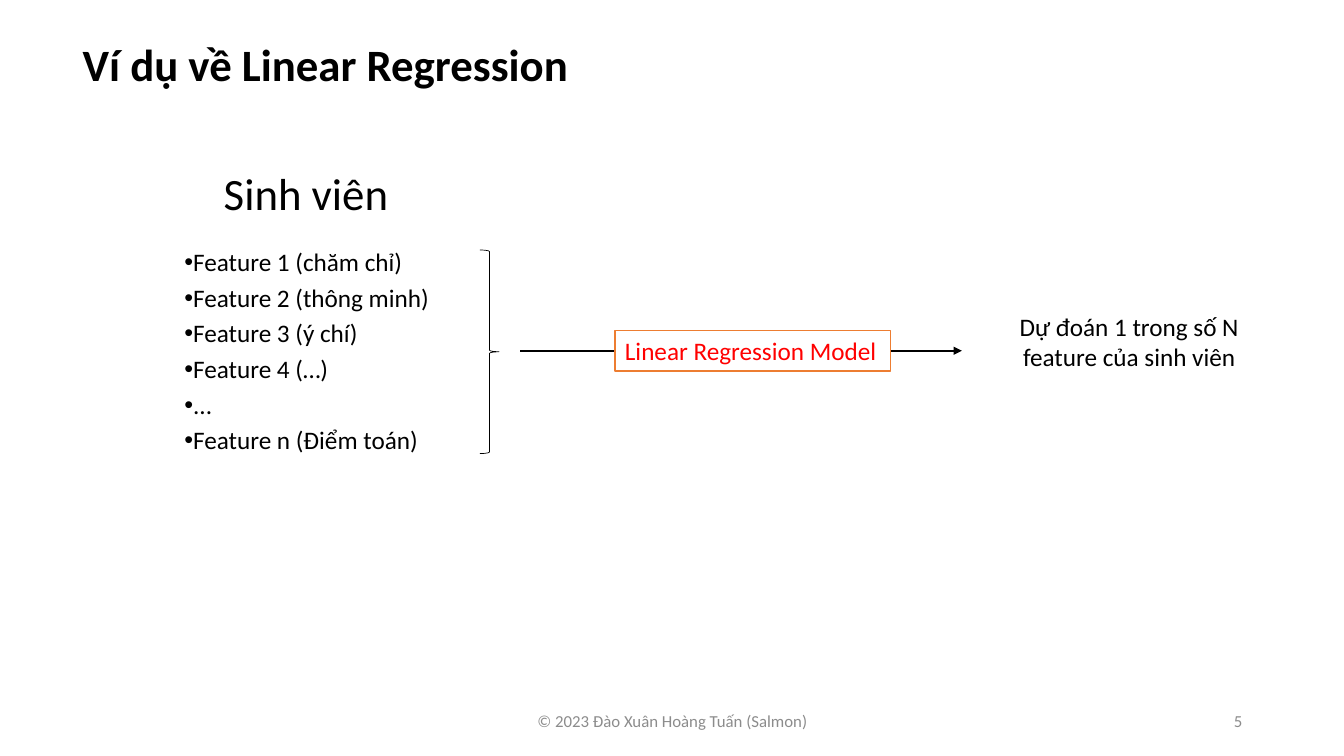
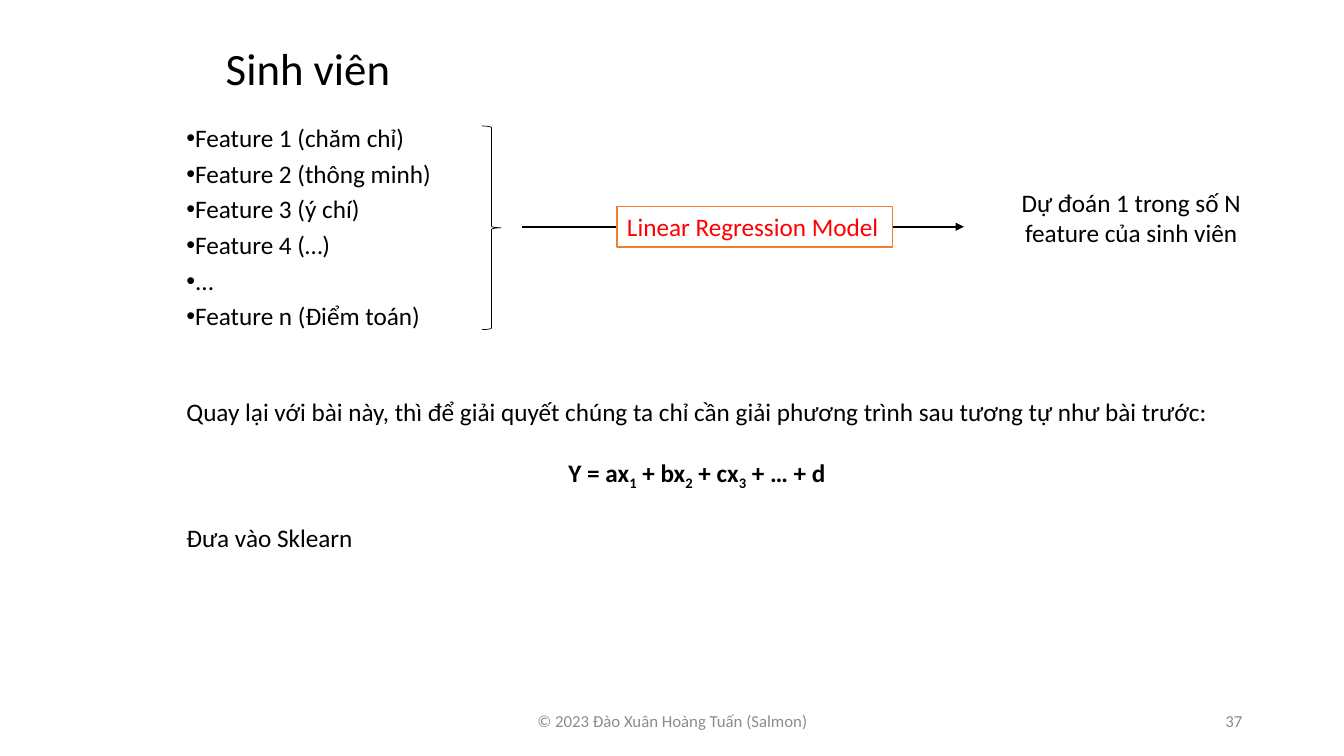
import pptx
import pptx.util
import pptx.dml.color
import pptx.enum.shapes
import pptx.enum.text
import pptx.oxml
import pptx.oxml.ns

Inches = pptx.util.Inches
Pt = pptx.util.Pt
ALIGN = pptx.enum.text.PP_ALIGN
ANCHOR = pptx.enum.text.MSO_ANCHOR
FIT = pptx.enum.text.MSO_AUTO_SIZE
SHAPE = pptx.enum.shapes.MSO_SHAPE

FONT = "Calibri"
BLACK, WHITE, RED, ORANGE, GREY = "000000", "FFFFFF", "FF0000", "ED7D31", "8C8C8C"
HEADING, BODY, SMALL = 32, 18, 12
TITLE_ONLY, BLANK = 5, 6

FOOTER = "© 2023 Đào Xuân Hoàng Tuấn (Salmon)"
SUBJECT = "Sinh viên"
FEATURES = ["Feature 1 (chăm chỉ)", "Feature 2 (thông minh)", "Feature 3 (ý chí)",
            "Feature 4 (…)", "...", "Feature n (Điểm toán)"]
MODEL = "Linear Regression Model"
PREDICTION = "Dự đoán 1 trong số N feature của sinh viên"
INTRO = ("Quay lại với bài này, thì để giải quyết chúng ta chỉ cần giải "
         "phương trình sau tương tự như bài trước:")
EQUATION = [("Y = ax", False), ("1", True), (" + bx", False), ("2", True),
            (" + cx", False), ("3", True), (" + … + d", False)]
NEXT_STEP = "Đưa vào Sklearn"

SLIDES = [
    {"title": "Ví dụ về Linear Regression", "number": "5", "origin": (1.73, 1.59)},
    {"number": "37", "origin": (1.75, 0.36), "explain": True},
]


def rgb(color):
    return pptx.dml.color.RGBColor.from_string(color)


def add_run(p, text, size=BODY, color=BLACK, bold=False, sub=False):
    r = p.add_run()
    r.text = text
    r.font.name = FONT
    r.font.size = Pt(size)
    r.font.bold = bold
    r.font.color.rgb = rgb(color)
    if sub:
        r.font._element.set("baseline", "-25000")


def next_paragraph(tf):
    return tf.paragraphs[0] if not tf.paragraphs[0].runs else tf.add_paragraph()


def frame(sp, wrap=False, grow=True, anchor=ANCHOR.TOP):
    tf = sp.text_frame
    tf.word_wrap = wrap
    tf.auto_size = FIT.SHAPE_TO_FIT_TEXT if grow else FIT.NONE
    tf.vertical_anchor = anchor
    return tf


def add_text(slide, box, text, size=BODY, color=BLACK, align=ALIGN.LEFT, **layout):
    tf = frame(slide.shapes.add_textbox(*map(Inches, box)), **layout)
    p = tf.paragraphs[0]
    p.alignment = align
    add_run(p, text, size, color)


def add_title(slide, text):
    sp = slide.shapes.title
    sp.left, sp.top, sp.width, sp.height = map(Inches, (0.72, 0.31, 5.06, 0.64))
    p = frame(sp).paragraphs[0]
    p.alignment = ALIGN.LEFT
    add_run(p, text, HEADING, bold=True)


def add_footer(slide, number):
    for left, width, text, align in [(4.42, 4.5, FOOTER, ALIGN.CENTER),
                                     (9.42, 3, number, ALIGN.RIGHT)]:
        add_text(slide, (left, 6.95, width, 0.4), text, SMALL, GREY, align,
                 wrap=True, grow=False, anchor=ANCHOR.MIDDLE)


def add_features(slide, box):
    tf = frame(slide.shapes.add_textbox(*map(Inches, box)))
    for feature in FEATURES:
        p = next_paragraph(tf)
        p.line_spacing = 0.9
        p.space_after = Pt(6)
        add_run(p, feature)
        pPr = p._p.get_or_add_pPr()
        pPr.set("marL", "0")
        pPr.set("indent", str(-Inches(0.25)))
        font = pptx.oxml.ns.qn("a:buFont")
        pPr.append(pPr.makeelement(font, {"typeface": "Arial"}))
        pPr.append(pPr.makeelement(pptx.oxml.ns.qn("a:buChar"), {"char": "•"}))


def add_arrow(slide, x1, x2, y):
    line = slide.shapes.add_connector(
        pptx.enum.shapes.MSO_CONNECTOR.STRAIGHT, *map(Inches, (x1, y, x2, y)))
    line.line.color.rgb = rgb(BLACK)
    line.line.width = Pt(1.5)
    ln = line.line._get_or_add_ln()
    ln.append(ln.makeelement(pptx.oxml.ns.qn("a:tailEnd"), {"type": "triangle"}))
    spPr = line._element.spPr
    spPr.append(spPr.makeelement(pptx.oxml.ns.qn("a:effectLst"), {}))


def add_outline(slide, kind, box, color, width):
    sp = slide.shapes.add_shape(kind, *map(Inches, box))
    sp.shadow.inherit = False
    sp.line.color.rgb = rgb(color)
    sp.line.width = Pt(width)
    return sp


def add_diagram(slide, x, y):
    add_text(slide, (x + 0.39, y, 1.85, 0.64), SUBJECT, HEADING)
    add_features(slide, (x, y + 0.84, 2.82, 2.54))
    add_arrow(slide, x + 3.43, x + 7.81, y + 1.89)

    model = add_outline(slide, SHAPE.RECTANGLE, (x + 4.37, y + 1.69, 2.73, 0.4), ORANGE, 1)
    model.fill.solid()
    model.fill.fore_color.rgb = rgb(WHITE)
    p = frame(model).paragraphs[0]
    p.alignment = ALIGN.LEFT
    add_run(p, MODEL, color=RED)

    brace = add_outline(slide, SHAPE.RIGHT_BRACE, (x + 3.03, y + 0.89, 0.19, 2.02), BLACK, 0.5)
    brace.fill.background()
    brace.adjustments[0], brace.adjustments[1] = 0.08, 0.5

    add_text(slide, (x + 8.02, y + 1.45, 2.9, 0.71), PREDICTION,
             align=ALIGN.CENTER, wrap=True)


def add_explanation(slide):
    tf = frame(slide.shapes.add_textbox(*map(Inches, (1.75, 3.88, 10.46, 1.62))))
    add_run(next_paragraph(tf), INTRO)
    equation = next_paragraph(tf)
    equation.alignment = ALIGN.CENTER
    for text, sub in EQUATION:
        add_run(equation, text, bold=True, sub=sub)
    step = next_paragraph(tf)
    add_run(step, NEXT_STEP)
    for p in (equation, step):
        p.space_before = Pt(22)


def main():
    prs = pptx.Presentation()
    prs.slide_width, prs.slide_height = Inches(13.33), Inches(7.5)
    for content in SLIDES:
        layout = TITLE_ONLY if "title" in content else BLANK
        slide = prs.slides.add_slide(prs.slide_layouts[layout])
        if "title" in content:
            add_title(slide, content["title"])
        add_diagram(slide, *content["origin"])
        if content.get("explain"):
            add_explanation(slide)
        add_footer(slide, content["number"])
    prs.save("out.pptx")


if __name__ == "__main__":
    main()
